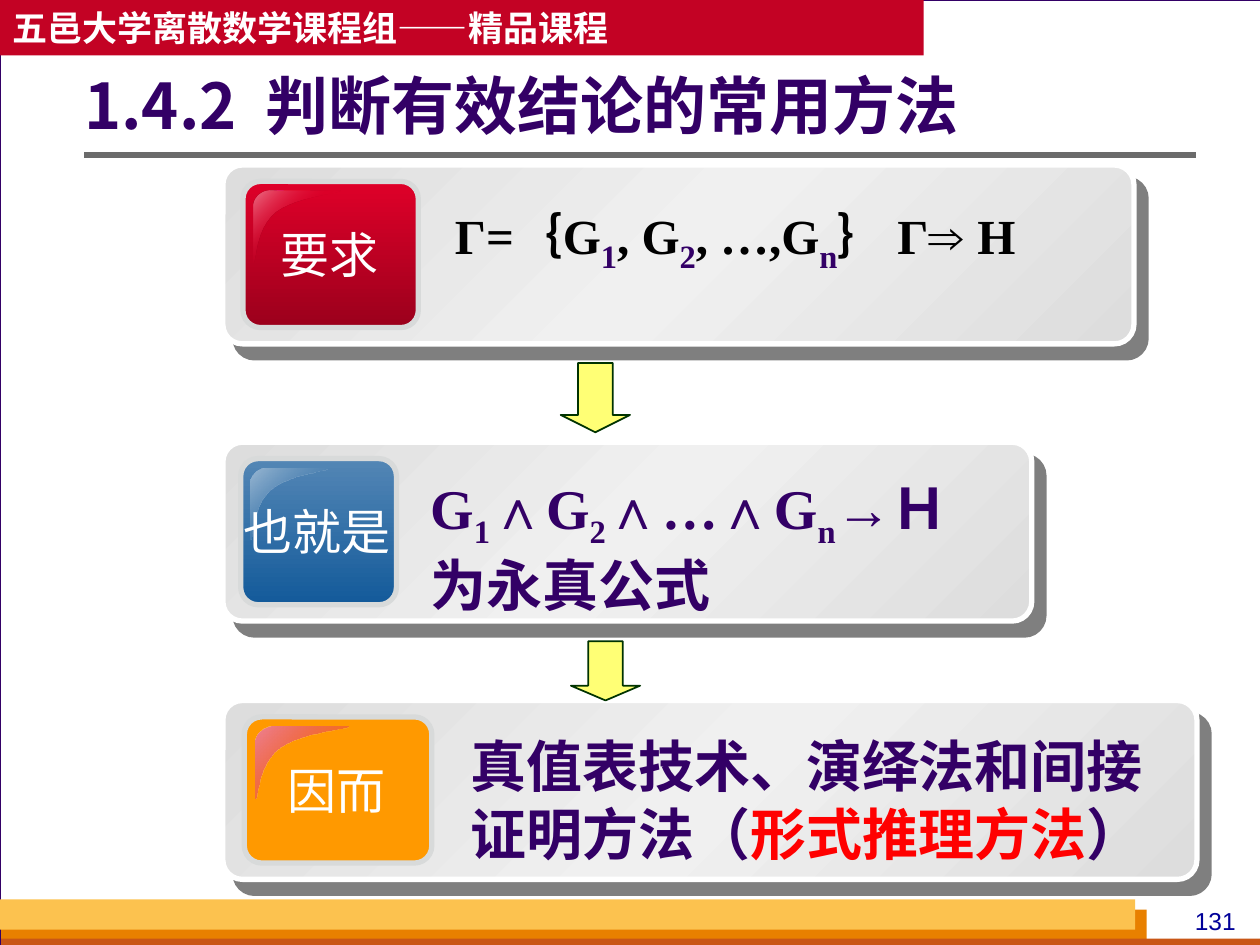
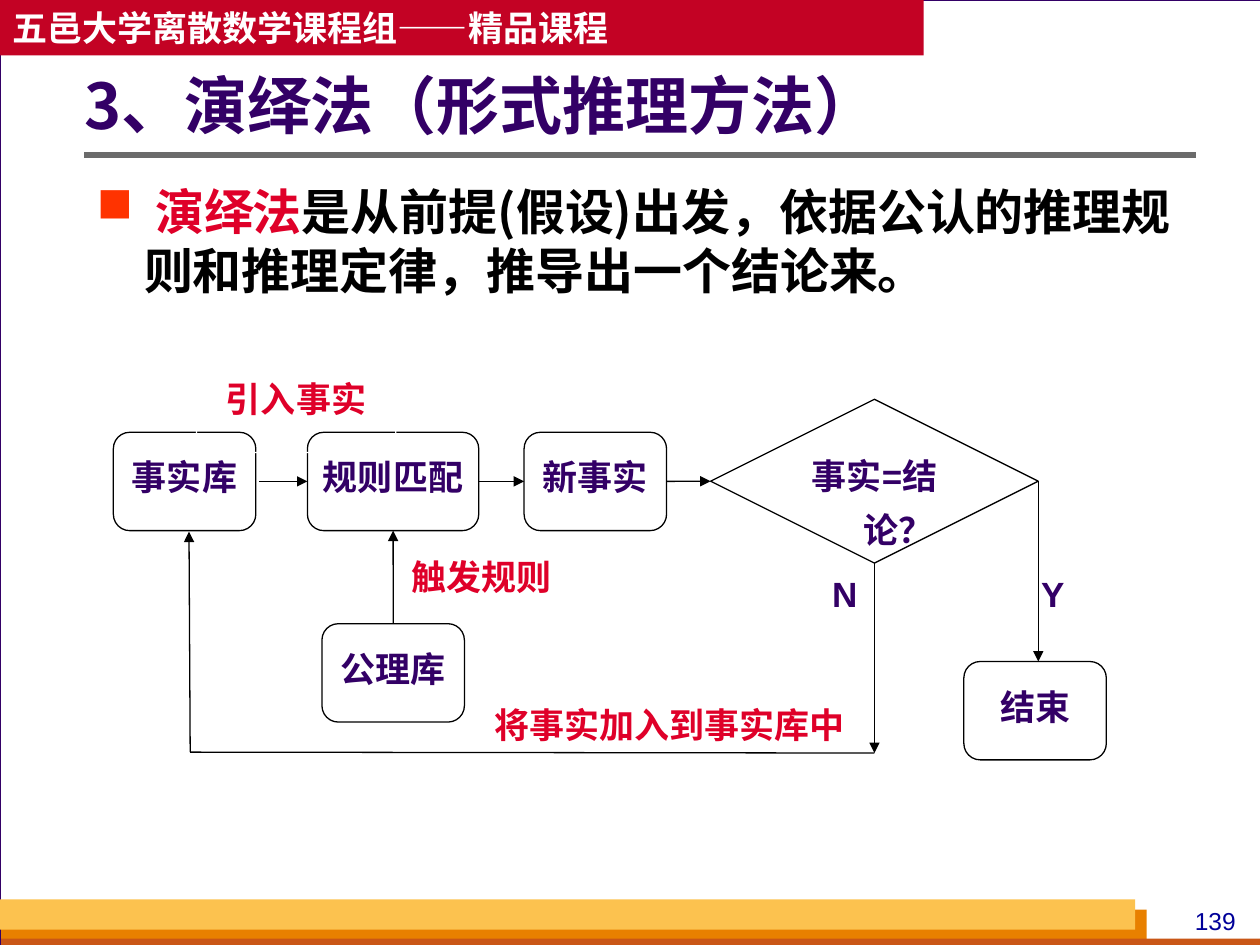
from lxml import etree
from pptx import Presentation
from pptx.dml.color import RGBColor
from pptx.enum.shapes import MSO_CONNECTOR, MSO_SHAPE
from pptx.enum.text import MSO_ANCHOR, PP_ALIGN
from pptx.oxml.ns import qn
from pptx.util import Pt

RECT, ROUND = MSO_SHAPE.RECTANGLE, MSO_SHAPE.ROUNDED_RECTANGLE
STEP, TEST = MSO_SHAPE.FLOWCHART_ALTERNATE_PROCESS, MSO_SHAPE.FLOWCHART_DECISION
DOWN, STRAIGHT = MSO_SHAPE.DOWN_ARROW, MSO_CONNECTOR.STRAIGHT
LEFT, MID = PP_ALIGN.LEFT, PP_ALIGN.CENTER
TOP, CENTRE = MSO_ANCHOR.TOP, MSO_ANCHOR.MIDDLE
HEI, SANS, ROMAN = "Noto Sans CJK SC", "Arial", "Times New Roman"

HUES = {
    "back": "D8DADA", "white": "FFFFFF", "black": "000000", "ink": "330066",
    "band": "C30224", "dark": "E88000", "rust": "C95616", "gold": "FCC24F",
    "page": "000099", "rule": "6B6B6B", "crimson": "DF0029", "wine": "9B001C",
    "pink": "EC7389", "rose": "EE8296", "sky": "5386B5", "navy": "135A9A",
    "mist": "9AB8D3", "amber": "FF9900", "red": "FF0000", "edge": "DDDDDD",
    "glow": "F0F0F0", "lemon": "FFFF66", "moss": "003300", "mark": "FF3300",
}

# Content: a run is (text, size, colour, font, baseline in percent)
HEAD = "五邑大学离散数学课程组——精品课程"


def big(text, base=0, size=32, hue="ink", font=ROMAN):
    return (text, size, hue, font, base)


def small(text, font=ROMAN):
    return big(text, 0, 28, "black", font)


GOAL = [[small("Г=｛G"), big("1", -25), small(", G"), big("2", -25),
         small(", …,G"), big("n", -25), small("｝ Г"),
         small("⇒ ", SANS), small("H")]]
MEANS = [[big("G"), big("1", -25), big("∧G"), big("2", -25),
          big("∧…∧G"), big("n", -25), big("→Ｈ")], [big("为永真公式")]]
THUS = [[big("真值表技术、演绎法和间接证明方法（", font=HEI),
         big("形式推理方法", hue="red", font=HEI), big("）", font=HEI)]]
# Label, top, width, badge stops, glare stops (position, hue, alpha), text, text drop
PANELS = [
    ("要求", 94.3, 520.6, [(0, "crimson"), (100, "wine")],
     [(0, "pink"), (50, "crimson", 0), (100, "pink")], GOAL, 15.8),
    ("也就是", 252.7, 462.2, [(0, "sky"), (100, "navy")],
     [(0, "navy", 0), (100, "mist")], MEANS, 14.4),
    ("因而", 400.3, 556.6, [(0, "amber"), (100, "amber")],
     [(0, "crimson", 0), (100, "rose")], THUS, 14.4),
]
DROPS = [(320.4, 207.4, 39.6), (326.2, 366.5, 33.8)]
BODY = [(" ", 28, "black", HEI, 0), ("演绎法", 28, "crimson", HEI, 0),
        ("是从前提(假设)出发，依据公认的推理规则和推理定律，推导出一个结论来。",
         28, "black", HEI, 0)]
# Text, left, top, width
STEPS = {
    "new": ("新事实", 299.5, 247, 81.4), "facts": ("事实库", 64.8, 247, 81.4),
    "match": ("规则匹配", 175.7, 247, 97.9), "axiom": ("公理库", 184, 356.4, 81.4),
    "end": ("结束", 550.8, 378, 81.4),
}
# Text, left, top, width, hue, filled
NOTES = [
    ("Y", 585.4, 314.6, 32.4, "ink", True), ("N", 466.6, 314.6, 32.4, "ink", True),
    ("触发规则", 218.2, 303.8, 113.8, "crimson", True),
    ("将事实加入到事实库中", 269.3, 388.8, 226.8, "crimson", False),
    ("引入事实", 112.3, 202.3, 113.8, "crimson", False),
]
HIGH = 56.2
# Start, end (a point, or a step with its side), arrowhead
LINKS = [
    ((148.3, 275.1), ("match", 1), True), (("match", 3), ("new", 1), True),
    (("new", 3), ("test", 1), True), (("axiom", 0), ("match", 2), True),
    (("test", 2), (499.7, 430.3), True), (("test", 3), (593.3, 378), True),
    ((499.7, 430.3), (108.7, 429.8), False), ((108.7, 429.8), (108, 303.8), True),
]


# Helpers
def rgb(hue):
    return RGBColor.from_string(HUES[hue])


def sub(node, tag, **attrs):
    return etree.SubElement(node, qn("a:" + tag), {k: str(v) for k, v in attrs.items()})


def tint(node, hue, alpha=100):
    color = sub(node, "srgbClr", val=HUES[hue])
    if alpha < 100:
        sub(color, "alpha", val=alpha * 1000)


def blend(shape, stops, angle):
    shape.fill.gradient()
    shape.fill.gradient_angle = angle
    row = shape._element.spPr.find(qn("a:gradFill")).find(qn("a:gsLst"))
    for old in list(row):
        row.remove(old)
    for pos, *paint in stops:
        tint(sub(row, "gs", pos=pos * 1000), *paint)


def style(shape, fill=None, line=None, width=0.75):
    shape.shadow.inherit = False
    if fill:
        shape.fill.solid()
        shape.fill.fore_color.rgb = rgb(fill)
    else:
        shape.fill.background()
    if line:
        shape.line.color.rgb = rgb(line)
        shape.line.width = Pt(width)
    else:
        shape.line.fill.background()
    return shape


def add(slide, kind, box, *look):
    return style(slide.shapes.add_shape(kind, *map(Pt, box)), *look)


def write(shape, rows, align=LEFT, anchor=TOP, pad=(7.2, 3.6, 7.2, 3.6),
          bold=True, space=None, hang=0, mark=None):
    frame = shape.text_frame
    frame.word_wrap = True
    frame.vertical_anchor = anchor
    (frame.margin_left, frame.margin_top,
     frame.margin_right, frame.margin_bottom) = map(Pt, pad)
    for i, runs in enumerate(rows):
        par = frame.add_paragraph() if i else frame.paragraphs[0]
        props = par._p.get_or_add_pPr()
        if hang:
            props.set("marL", str(Pt(hang)))
            props.set("indent", str(-Pt(hang)))
        if mark:
            tint(sub(props, "buClr"), "mark")
            sub(props, "buChar", char=mark)
        par.alignment = align
        if space:
            par.line_spacing = space
        for text, size, hue, face, base in runs:
            run = par.add_run()
            run.text = text
            font = run.font
            font.size, font.bold, font.name = Pt(size), bold, face
            font.color.rgb = rgb(hue)
            more = run._r.get_or_add_rPr()
            sub(more, "ea", typeface=HEI)
            if base:
                more.set("baseline", str(base * 1000))


def label(slide, box, rows, **how):
    write(slide.shapes.add_textbox(*map(Pt, box)), rows, **how)


def link(slide, start, end, hue="black", width=0.75, head=False):
    line = slide.shapes.add_connector(STRAIGHT, *map(Pt, (*start, *end)))
    line.line.color.rgb = rgb(hue)
    line.line.width = Pt(width)
    if head:
        sub(line.line._get_or_add_ln(), "tailEnd", type="triangle")
    sub(line._element.spPr, "effectLst")
    return line


def curve(a, b, c, d, n=12):
    for i in range(1, n + 1):
        t = i / n
        u = 1 - t
        yield tuple(u**3 * p + 3 * u * u * t * q + 3 * u * t * t * r + t**3 * s
                    for p, q, r, s in zip(a, b, c, d))


# Shared frame: page, bands, title, page number
def start(deck, title, page):
    slide = deck.slides.add_slide(deck.slide_layouts[6])
    slide.background.fill.solid()
    slide.background.fill.fore_color.rgb = rgb("back")
    add(slide, RECT, (0, 0, 720.7, 540), "white", "ink")
    band = add(slide, RECT, (0, 0, 527.8, 31.7), "band")
    write(band, [[(HEAD, 20, "white", HEI, 0)]], anchor=CENTRE)
    add(slide, RECT, (0.7, 519.8, 654.5, 20.2), "dark")
    add(slide, RECT, (0.7, 536.4, 720, 5.8), "rust")
    add(slide, RECT, (0, 514, 648.7, 17.3), "gold")
    label(slide, (671.8, 514, 45.4, 24.5), [[(page, 14, "page", SANS, 0)]],
          align=MID, bold=False)
    link(slide, (48.2, 88.6), (683.3, 88.6), "rule", 3)
    label(slide, (48.2, 25.9, 635, 72.7), [[(title, 36, "ink", HEI, 0)]],
          anchor=CENTRE, pad=(0, 3.6, 7.2, 3.6), space=0.9)
    return slide


# Panel with badge, glare, label and text
def panel(slide, name, top, wide, stops, shine, rows, drop):
    left = 127.4
    card = add(slide, ROUND, (left, top, wide, 102.2), "edge", "white", 3)
    card.adjustments[0] = 0.109
    blend(card, [(0, "edge"), (50, "glow"), (100, "edge")], 135)
    cast = sub(card._element.spPr.find(qn("a:effectLst")), "outerShdw", blurRad=0,
               dist=Pt(10.6), dir=49 * 60000, algn="ctr", rotWithShape=0)
    tint(cast, "black", 50)

    x, y, w, h = left + 0.022 * wide, top + 9.4, 0.1925 * wide, 83.5
    badge = add(slide, ROUND, (x, y, w, h), "edge", "back", 3)
    badge.adjustments[0] = 0.119
    blend(badge, stops, 270)

    dots = [(0.19, 0), *curve((0.19, 0), (0.09, 0), (0, 0.1), (0, 0.21)), (0, 0.98),
            *curve((0, 0.98), (0.04, 1), (0.01, 0.53), (0.26, 0.29)),
            *curve((0.26, 0.29), (0.52, 0.07), (1, 0.05), (0.99, 0))]
    dots = [(Pt(x + w * (0.06 + 0.5 * p)), Pt(y + 5.5 + 0.5 * h * q)) for p, q in dots]
    pen = slide.shapes.build_freeform(*dots[0])
    pen.add_line_segments(dots[1:], close=True)
    blend(style(pen.convert_to_shape()), shine, 135)

    label(slide, (left + 0.1167 * wide - 55, top + 30.6, 110, 41),
          [[(name, 28, "white", SANS, 0)]], align=MID, bold=False)
    label(slide, (left + 0.241 * wide, top + drop, 0.735 * wide, 84), rows)


def methods(deck):
    slide = start(deck, "1.4.2  判断有效结论的常用方法", "131")
    for item in PANELS:
        panel(slide, *item)
    for x, y, high in DROPS:
        drop = add(slide, DOWN, (x, y, 39.6, high), "lemon", "moss", 1)
        drop.adjustments[0], drop.adjustments[1] = 0.5, 0.25
        paint = drop._element.spPr.find(qn("a:solidFill"))
        sub(paint[0], "alpha", val=90000)


# Flow chart
def flow(deck):
    slide = start(deck, "3、演绎法（形式推理方法）", "139")
    label(slide, (48.2, 100.1, 635, 90.7), [BODY], hang=27, mark="■")

    def node(kind, text, box, fill, line, hue="ink", pad=(7.2, 3.6, 7.2, 3.6)):
        shape = add(slide, kind, box, fill, line)
        write(shape, [[(text, 20, hue, SANS, 0)]], align=MID, pad=pad,
              space=1.3, hang=27)
        return shape

    def notes(filled):
        for text, x, y, wide, hue, full in NOTES:
            if full == filled:
                node(STEP, text, (x, y, wide, HIGH), "white" if full else None,
                     "white", hue)

    notes(True)
    nodes = {"test": node(TEST, "事实=结论？", (406.1, 228.2, 187.2, 93.6),
                          "white", "black", pad=(1.4, 0.7, 1.4, 0.7))}
    for key, (text, x, y, wide) in STEPS.items():
        side = 4.3 if key == "match" else 7.2
        nodes[key] = node(STEP, text, (x, y, wide, HIGH), "white", "black",
                          pad=(side, 3.6, side, 3.6))
    notes(False)

    for head, tail, arrow in LINKS:
        ends = [(0, 0) if p[0] in nodes else p for p in (head, tail)]
        line = link(slide, *ends, head=arrow)
        if head[0] in nodes:
            line.begin_connect(nodes[head[0]], head[1])
        if tail[0] in nodes:
            line.end_connect(nodes[tail[0]], tail[1])


def main():
    deck = Presentation()
    deck.slide_width, deck.slide_height = Pt(720), Pt(540)
    methods(deck)
    flow(deck)
    deck.save("out.pptx")


if __name__ == "__main__":
    main()
